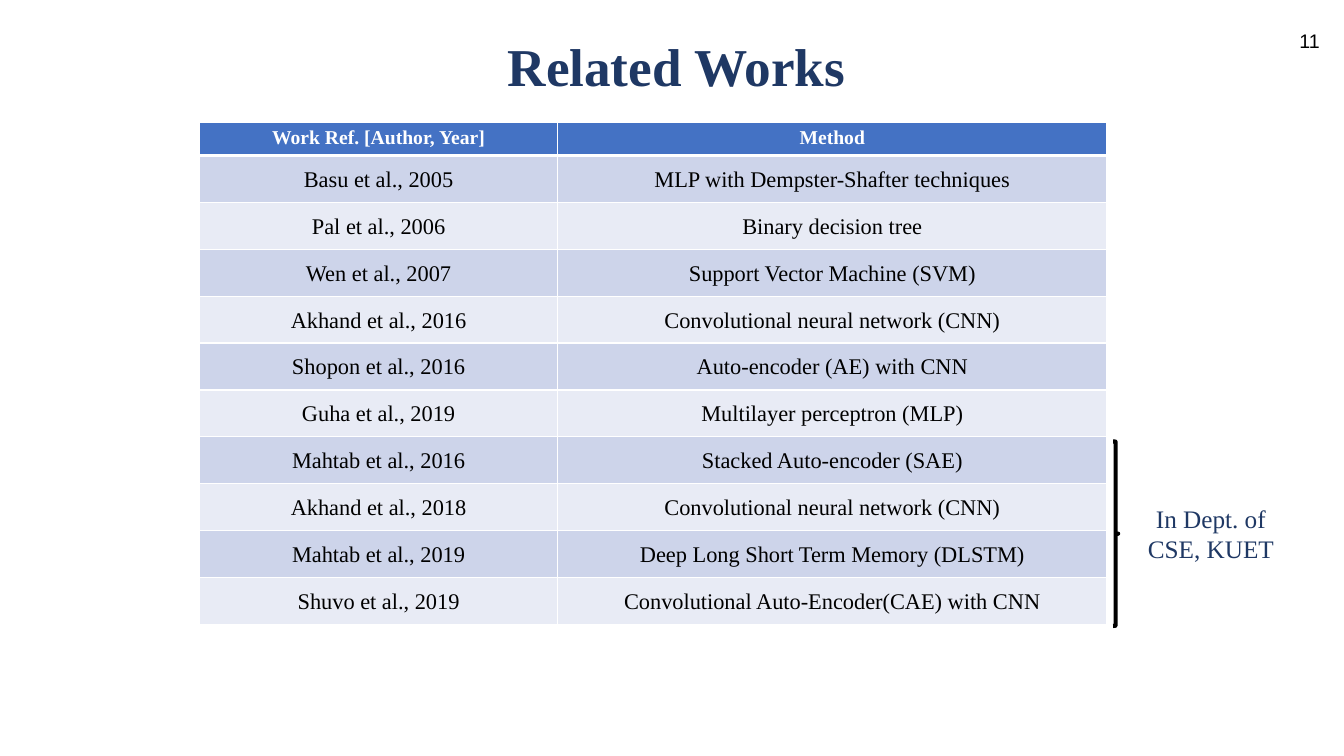
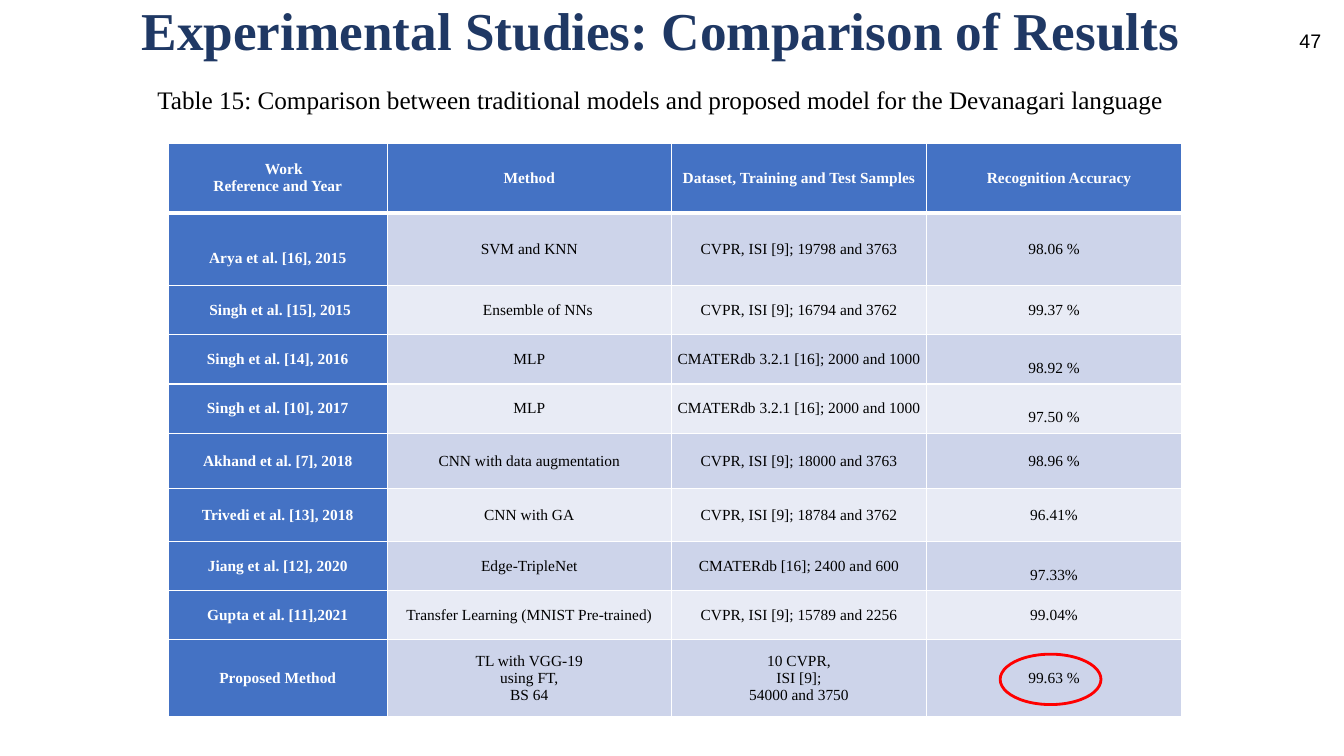
"""Builds two slides of literature and result comparison tables."""
import dataclasses
import typing

import lxml.etree
import pptx
import pptx.dml.color
import pptx.enum.shapes
import pptx.enum.text
import pptx.oxml.ns
import pptx.util

Inches = pptx.util.Inches
Pt = pptx.util.Pt
RGBColor = pptx.dml.color.RGBColor
Shape = pptx.enum.shapes.MSO_SHAPE
Align = pptx.enum.text.PP_ALIGN
Anchor = pptx.enum.text.MSO_ANCHOR

NAVY = RGBColor(0x1F, 0x38, 0x64)
BLUE = RGBColor(0x44, 0x72, 0xC4)
BANDS = (RGBColor(0xCD, 0xD4, 0xEA), RGBColor(0xE8, 0xEB, 0xF5))
WHITE = RGBColor(0xFF, 0xFF, 0xFF)
BLACK = RGBColor(0, 0, 0)
RED = RGBColor(0xFF, 0, 0)
SERIF = "Times New Roman"
SANS = "Arial"


class Box(typing.NamedTuple):
    left: float
    top: float
    width: float
    height: float

    def lengths(self) -> list:
        return [Inches(value) for value in self]


@dataclasses.dataclass(frozen=True)
class TextStyle:
    size: float
    color: RGBColor = BLACK
    bold: bool = False
    font: str = SERIF
    align: Align = Align.CENTER
    spacing: float = 1.0


@dataclasses.dataclass(frozen=True)
class Entry:
    """Table text with a first-line indent or a drop below the middle."""
    text: str
    indent: float = 0
    drop: float = 0


@dataclasses.dataclass(frozen=True)
class TableDesign:
    box: Box
    widths: tuple
    heights: tuple
    header: TextStyle
    body: TextStyle
    header_anchor: Anchor
    header_insets: tuple
    body_insets: tuple
    label_column: bool = False


TITLE = TextStyle(38, NAVY, True, spacing=0.9)
CAPTION = TextStyle(18)
NOTE = TextStyle(18, NAVY)
NUMBER = TextStyle(14, font=SANS, align=Align.LEFT)

WORKS_DESIGN = TableDesign(
    Box(1.98, 1.21, 9, 4.97), (3.55, 5.45), (0.32,) + (4.65 / 10,) * 10,
    TextStyle(14, WHITE, True), TextStyle(16, spacing=1.07),
    Anchor.TOP, (0.1, 0.05), (0.09, 0.05))
WORKS = (
    ("Work Ref. [Author, Year]", "Method"),
    ("Basu et al., 2005", "MLP with Dempster-Shafter techniques"),
    ("Pal et al., 2006", "Binary decision tree"),
    ("Wen et al., 2007", "Support Vector Machine (SVM)"),
    ("Akhand et al., 2016", "Convolutional neural network (CNN)"),
    ("Shopon et al., 2016", "Auto-encoder (AE) with CNN"),
    ("Guha et al., 2019", "Multilayer perceptron (MLP)"),
    ("Mahtab et al., 2016", "Stacked Auto-encoder (SAE)"),
    ("Akhand et al., 2018", "Convolutional neural network (CNN)"),
    ("Mahtab et al., 2019", "Deep Long Short Term Memory (DLSTM)"),
    ("Shuvo et al., 2019", "Convolutional Auto-Encoder(CAE) with CNN"),
)

DROP = 0.18
RESULTS_DESIGN = TableDesign(
    Box(1.67, 1.42, 10.05, 5.69), (2.17, 2.82, 2.53, 2.53),
    (0.69, 0.72, 0.49, 0.49, 0.49, 0.55, 0.52, 0.49, 0.49, 0.76),
    TextStyle(11, WHITE, True), TextStyle(11),
    Anchor.MIDDLE, (0.01, 0.01), (0.01, 0.01), True)
RESULTS = (
    (Entry("Work\nReference and Year", indent=0.12), "Method",
     "Dataset, Training and Test Samples", Entry("Recognition Accuracy", indent=0.1)),
    (Entry("Arya et al. [16], 2015", drop=DROP), "SVM and KNN",
     "CVPR, ISI [9]; 19798 and 3763", "98.06 %"),
    (Entry("Singh et al. [15], 2015", indent=0.05), Entry("Ensemble of NNs", indent=0.17),
     "CVPR, ISI [9]; 16794 and 3762", "99.37 %"),
    ("Singh et al. [14], 2016", "MLP",
     "CMATERdb 3.2.1 [16]; 2000 and 1000", Entry("98.92 %", drop=DROP)),
    ("Singh et al. [10], 2017", "MLP",
     "CMATERdb 3.2.1 [16]; 2000 and 1000", Entry("97.50 %", drop=DROP)),
    ("Akhand et al. [7], 2018", "CNN with data augmentation",
     "CVPR, ISI [9]; 18000 and 3763", "98.96 %"),
    ("Trivedi et al. [13], 2018", "CNN with GA",
     "CVPR, ISI [9]; 18784 and 3762", "96.41%"),
    ("Jiang et al. [12], 2020", "Edge-TripleNet",
     "CMATERdb [16]; 2400 and 600", Entry("97.33%", drop=DROP)),
    ("Gupta et al. [11],2021", "Transfer Learning (MNIST Pre-trained)",
     "CVPR, ISI [9]; 15789 and 2256", "99.04%"),
    ("Proposed Method", "TL with VGG-19\nusing FT,\nBS 64",
     "10 CVPR,\nISI [9];\n54000 and 3750", "99.63 %"),
)


def write(frame, text: str, style: TextStyle) -> None:
    frame.text = text
    frame.word_wrap = True
    for para in frame.paragraphs:
        para.alignment = style.align
        para.line_spacing = style.spacing
        para.font.name = style.font
        para.font.size = Pt(style.size)
        para.font.bold = style.bold
        para.font.color.rgb = style.color


def add_text(page, box: Box, text: str, style: TextStyle) -> None:
    write(page.shapes.add_textbox(*box.lengths()).text_frame, text, style)


def add_page(deck, title: str, box: Box, style: TextStyle, anchor: Anchor,
             inset: float, number: str):
    page = deck.slides.add_slide(deck.slide_layouts[5])
    heading = page.shapes.title
    heading.left, heading.top, heading.width, heading.height = box.lengths()
    frame = heading.text_frame
    frame.auto_size = pptx.enum.text.MSO_AUTO_SIZE.NONE
    frame.vertical_anchor = anchor
    frame.margin_top = frame.margin_bottom = Inches(inset)
    write(frame, title, style)
    add_text(page, Box(12.79, 0.24, 0.54, 0.34), number, NUMBER)
    return page


def add_outline(page, kind: Shape, box: Box, color: RGBColor, width: float) -> None:
    outline = page.shapes.add_shape(kind, *box.lengths())
    outline.shadow.inherit = False
    outline.fill.background()
    outline.line.color.rgb = color
    outline.line.width = Pt(width)


def set_borders(cell, top: float, bottom: float) -> None:
    qualified = pptx.oxml.ns.qn
    properties = cell._tc.get_or_add_tcPr()
    for side, width in (("L", 1), ("R", 1), ("T", top), ("B", bottom)):
        line = lxml.etree.SubElement(properties, qualified(f"a:ln{side}"), w=str(Pt(width)))
        fill = lxml.etree.SubElement(line, qualified("a:solidFill"))
        lxml.etree.SubElement(fill, qualified("a:srgbClr"), val=str(WHITE))


def fill_cell(cell, entry: Entry, row: int, column: int, design: TableDesign) -> None:
    is_header = row == 0
    is_blue = is_header or (design.label_column and column == 0)
    across, down = design.header_insets if is_header else design.body_insets
    cell.margin_left = cell.margin_right = Inches(across)
    cell.margin_top = Inches(down + entry.drop)
    cell.margin_bottom = Inches(down)
    cell.vertical_anchor = design.header_anchor if is_header else Anchor.MIDDLE
    write(cell.text_frame, entry.text, design.header if is_blue else design.body)
    if entry.indent:
        first = cell.text_frame.paragraphs[0]._p.get_or_add_pPr()
        first.set("indent", str(Inches(entry.indent)))
    set_borders(cell, 3 if row == 1 else 1, 3 if is_header else 1)
    cell.fill.solid()
    cell.fill.fore_color.rgb = BLUE if is_blue else BANDS[(row - 1) % 2]


def add_table(page, rows: tuple, design: TableDesign) -> None:
    table = page.shapes.add_table(len(rows), len(design.widths), *design.box.lengths()).table
    for column, width in zip(table.columns, design.widths):
        column.width = Inches(width)
    for row, height in zip(table.rows, design.heights):
        row.height = Inches(height)
    for row_index, row in enumerate(rows):
        for column_index, item in enumerate(row):
            entry = item if isinstance(item, Entry) else Entry(item)
            cell = table.cell(row_index, column_index)
            fill_cell(cell, entry, row_index, column_index, design)


def build_related_works(deck) -> None:
    page = add_page(deck, "Related Works", Box(0.96, 0, 11.5, 1.45),
                    dataclasses.replace(TITLE, spacing=0.7), Anchor.MIDDLE, 0.05, "11")
    add_table(page, WORKS, WORKS_DESIGN)
    add_outline(page, Shape.RIGHT_BRACE, Box(11.04, 4.38, 0.05, 1.83), BLACK, 3)
    add_text(page, Box(11.28, 4.94, 1.46, 0.71), "In Dept. of\nCSE, KUET", NOTE)


def build_comparison(deck) -> None:
    page = add_page(deck, "Experimental Studies: Comparison of Results",
                    Box(0, -0.05, 13.11, 0.84), TITLE, Anchor.TOP, 0.1, "47")
    add_table(page, RESULTS, RESULTS_DESIGN)
    add_outline(page, Shape.OVAL, Box(9.92, 6.49, 1, 0.5), RED, 2)
    add_text(page, Box(1.43, 0.79, 10.24, 0.4),
             "Table 15: Comparison between traditional models and proposed model "
             "for the Devanagari language", CAPTION)


def main() -> None:
    deck = pptx.Presentation()
    deck.slide_width, deck.slide_height = Inches(13.33), Inches(7.5)
    build_related_works(deck)
    build_comparison(deck)
    deck.save("out.pptx")


if __name__ == "__main__":
    main()
